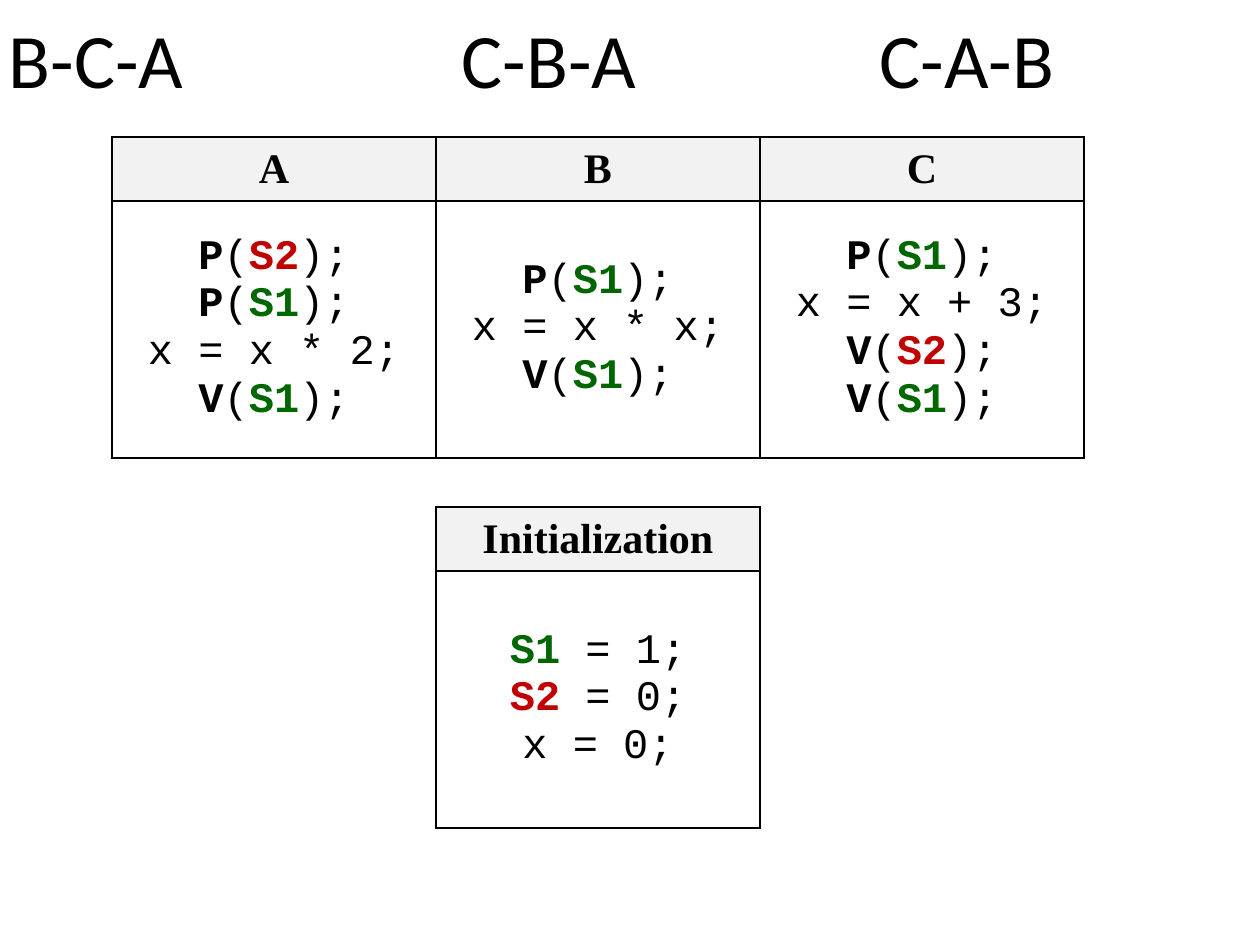
import pptx
import pptx.dml.color
import pptx.enum.text
import pptx.oxml
import pptx.oxml.ns
import pptx.util

PX_PER_INCH = 126
BLACK = pptx.dml.color.RGBColor(0x00, 0x00, 0x00)
RED = pptx.dml.color.RGBColor(0xC0, 0x00, 0x00)
GREEN = pptx.dml.color.RGBColor(0x00, 0x66, 0x00)
HEADER_GREY = pptx.dml.color.RGBColor(0xF2, 0xF2, 0xF2)

COLUMN_WIDTH = 324
HEADER_HEIGHT, CODE_HEIGHT = 64, 257
HANGING = 63
TOKEN_COLORS = {"P": BLACK, "V": BLACK, "S1": GREEN, "S2": RED}

# A bar separates the differently styled parts of a code line.
THREADS = {
    "A": ["P|(|S2|);", "P|(|S1|);", "x = x * 2;", "V|(|S1|);"],
    "B": ["P|(|S1|);", "x = x * x;", "V|(|S1|);"],
    "C": ["P|(|S1|);", "x = x + 3;", "V|(|S2|);", "V|(|S1|);"],
}
INITIALIZATION = {"Initialization": ["S1| = 1;", "S2| = 0;", "x = 0;"]}


def px(length):
    return pptx.util.Emu(round(length * 914400 / PX_PER_INCH))


def style(font, name, size, color=BLACK, bold=False):
    font.name = name
    font.size = pptx.util.Pt(size)
    font.color.rgb = color
    font.bold = bold


def add_tab_stops(paragraph, positions):
    stops = "".join(f'<a:tab pos="{px(p)}" algn="l"/>' for p in positions)
    paragraph._p.get_or_add_pPr().append(pptx.oxml.parse_xml(
        f'<a:tabLst {pptx.oxml.ns.nsdecls("a")}>{stops}</a:tabLst>'))


def add_title(slide, orders, tab_positions):
    title = slide.shapes.add_textbox(px(0), px(-2), px(1260), px(131))
    frame = title.text_frame
    frame.word_wrap = True
    frame.vertical_anchor = pptx.enum.text.MSO_ANCHOR.MIDDLE
    frame.margin_left = frame.margin_right = px(9)
    paragraph = frame.paragraphs[0]
    paragraph.text = "\t".join(orders)
    paragraph.line_spacing = 0.9
    add_tab_stops(paragraph, tab_positions)
    for run in paragraph.runs:
        style(run.font, "Calibri", 44)


def add_borders(cell):
    properties = cell._tc.get_or_add_tcPr()
    for side in "LRTB":
        properties.append(pptx.oxml.parse_xml(
            f'<a:ln{side} {pptx.oxml.ns.nsdecls("a")} w="12700"><a:solidFill>'
            f'<a:srgbClr val="{BLACK}"/></a:solidFill></a:ln{side}>'))


def prepare_cell(cell):
    cell.margin_left = cell.margin_right = px(9)
    cell.margin_top = cell.margin_bottom = 0
    cell.vertical_anchor = pptx.enum.text.MSO_ANCHOR.MIDDLE
    add_borders(cell)


def fill_header(cell, heading):
    prepare_cell(cell)
    cell.fill.solid()
    cell.fill.fore_color.rgb = HEADER_GREY
    paragraph = cell.text_frame.paragraphs[0]
    paragraph.text = heading
    paragraph.alignment = pptx.enum.text.PP_ALIGN.CENTER
    style(paragraph.runs[0].font, "Times New Roman", 24, bold=True)


def fill_code(cell, lines, hanging):
    prepare_cell(cell)
    cell.fill.background()
    frame = cell.text_frame
    for number, line in enumerate(lines):
        paragraph = frame.add_paragraph() if number else frame.paragraphs[0]
        paragraph.alignment = pptx.enum.text.PP_ALIGN.CENTER
        if hanging:
            properties = paragraph._p.get_or_add_pPr()
            properties.set("marL", str(px(HANGING)))
            properties.set("indent", str(px(-HANGING)))
        for token in line.split("|"):
            run = paragraph.add_run()
            run.text = token
            style(run.font, "Courier New", 24,
                  TOKEN_COLORS.get(token, BLACK), token in TOKEN_COLORS)


def add_code_table(slide, left, top, listings):
    """Draw one column per listing; the first column has a hanging indent."""
    table = slide.shapes.add_table(
        2, len(listings), px(left), px(top),
        px(COLUMN_WIDTH * len(listings)), px(HEADER_HEIGHT + CODE_HEIGHT)).table
    table.horz_banding = False
    table.rows[0].height = px(HEADER_HEIGHT)
    table.rows[1].height = px(CODE_HEIGHT)
    for column, (heading, lines) in enumerate(listings.items()):
        table.columns[column].width = px(COLUMN_WIDTH)
        fill_header(table.cell(0, column), heading)
        fill_code(table.cell(1, column), lines, hanging=column == 0)


def main():
    presentation = pptx.Presentation()
    presentation.slide_width = px(1260)
    presentation.slide_height = px(945)
    slide = presentation.slides.add_slide(presentation.slide_layouts[6])
    add_title(slide, ["B-C-A", "C-B-A", "C-A-B"], [453, 871])
    add_code_table(slide, 112, 137, THREADS)
    add_code_table(slide, 112 + COLUMN_WIDTH, 507, INITIALIZATION)
    presentation.save("out.pptx")


if __name__ == "__main__":
    main()
